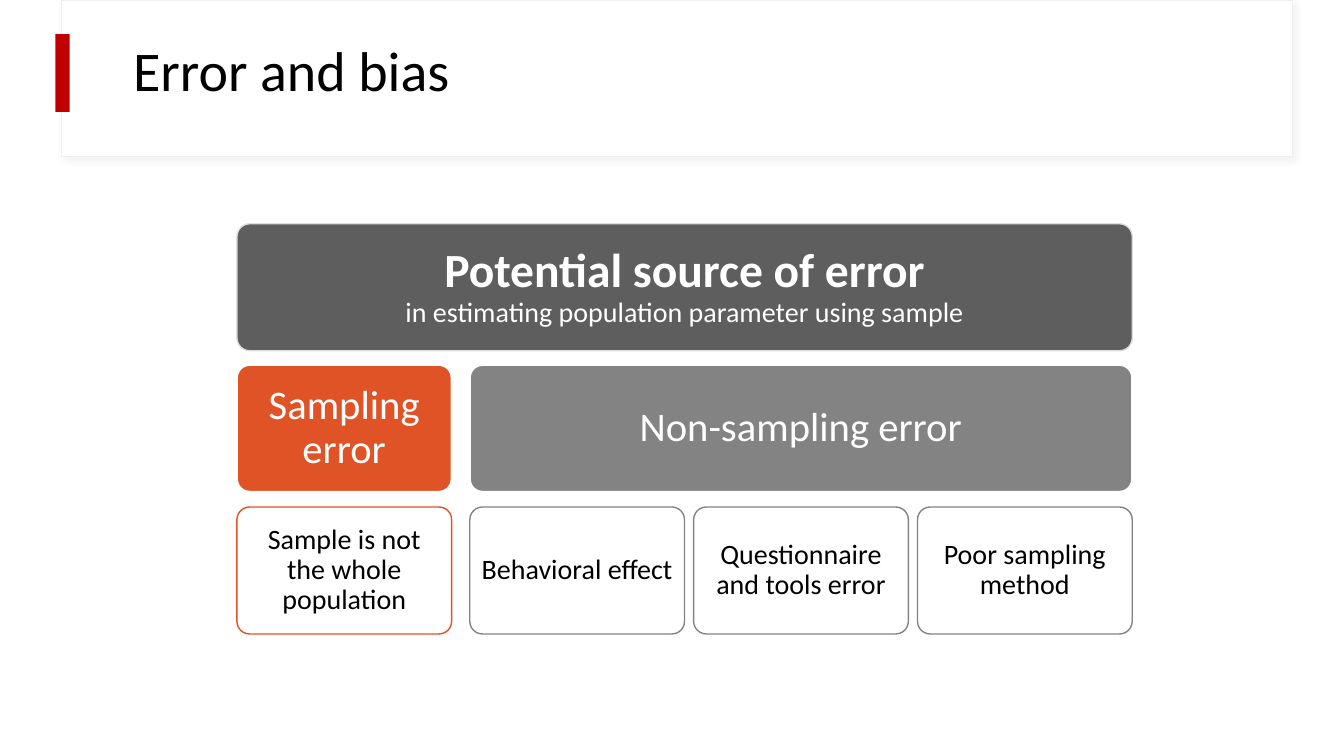
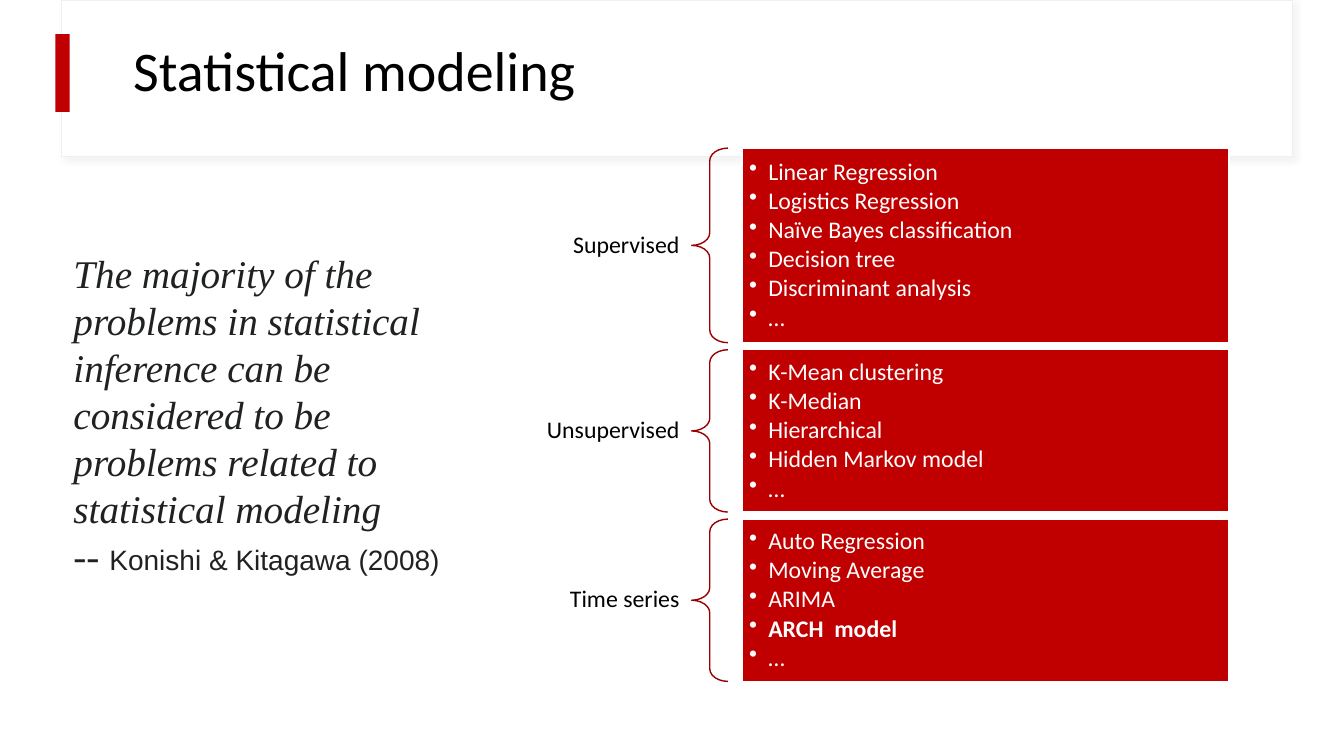
from dataclasses import dataclass

from lxml import etree
from pptx import Presentation
from pptx.dml.color import RGBColor
from pptx.enum.shapes import MSO_SHAPE
from pptx.enum.text import MSO_ANCHOR, MSO_AUTO_SIZE, PP_ALIGN
from pptx.oxml import parse_xml
from pptx.oxml.ns import nsdecls, qn
from pptx.presentation import Presentation as Deck
from pptx.shapes.autoshape import Shape
from pptx.slide import Slide, SlideLayout
from pptx.text.text import TextFrame, _Paragraph
from pptx.util import Inches, Pt

RECT = MSO_SHAPE.RECTANGLE
ROUNDED = MSO_SHAPE.ROUNDED_RECTANGLE
BRACE = MSO_SHAPE.LEFT_BRACE
MIDDLE = MSO_ANCHOR.MIDDLE
NO_FIT = MSO_AUTO_SIZE.NONE
LEFT, CENTER, RIGHT = PP_ALIGN.LEFT, PP_ALIGN.CENTER, PP_ALIGN.RIGHT

BLACK = RGBColor(0x00, 0x00, 0x00)
WHITE = RGBColor(0xFF, 0xFF, 0xFF)
RED = RGBColor(0xC0, 0x00, 0x00)
DARK_RED = RGBColor(0x9A, 0x00, 0x00)
ORANGE = RGBColor(0xDF, 0x53, 0x27)
DARK_GRAY = RGBColor(0x5E, 0x5E, 0x5E)
GRAY = RGBColor(0x83, 0x83, 0x83)
LIGHT_GRAY = RGBColor(0xDD, 0xDD, 0xDD)
BAND_LINE = RGBColor(0xEF, 0xEF, 0xEF)
QUOTE_INK = RGBColor(0x20, 0x21, 0x22)

BODY_FONT = "Calibri"
QUOTE_FONT = "Times New Roman"
SOURCE_FONT = "Arial"


@dataclass(frozen=True)
class Box:
    left: float
    top: float
    width: float
    height: float


@dataclass(frozen=True)
class Level:
    size: int
    inset: float
    top: float


@dataclass(frozen=True)
class Node:
    text: str
    level: Level
    column: int
    fill: RGBColor
    line: RGBColor
    line_width: float
    ink: RGBColor
    span: int = 1
    subtitle: str = ""


@dataclass(frozen=True)
class Family:
    name: str
    models: tuple[str, ...]
    highlight: str = ""


TITLE_BOX = Box(1.22, 0.08, 11.12, 1.29)
BAND_BOX = Box(0.61, 0, 12.21, 1.55)
MARK_BOX = Box(0.55, 0.34, 0.14, 0.77)

TREE_LEFT, NODE_WIDTH, NODE_HEIGHT, NODE_GAP = 2.35, 2.13, 1.26, 0.09
SOURCE = Level(34, 0.14, 2.22)
KIND = Level(29, 0.12, 3.62)
CAUSE = Level(20, 0.08, 5.03)

NODES = (
    Node("Potential source of error", SOURCE, 0, DARK_GRAY, LIGHT_GRAY, 1, WHITE, 4,
         "in estimating population parameter using sample"),
    Node("Sampling error", KIND, 0, ORANGE, WHITE, 1.5, WHITE),
    Node("Sample is not the whole population", CAUSE, 0, WHITE, ORANGE, 1, BLACK),
    Node("Non-sampling error", KIND, 1, GRAY, WHITE, 1.5, WHITE, 3),
    Node("Behavioral effect", CAUSE, 1, WHITE, GRAY, 1, BLACK),
    Node("Questionnaire and tools error", CAUSE, 2, WHITE, GRAY, 1, BLACK),
    Node("Poor sampling method", CAUSE, 3, WHITE, GRAY, 1, BLACK),
)

FAMILIES_TOP, FAMILY_GAP, MODEL_HEIGHT = 1.47, 0.07, 0.32
LABEL_HEIGHT = 0.37
FAMILIES = (
    Family("Supervised", ("Linear Regression", "Logistics Regression",
                          "Naïve Bayes classification", "Decision tree",
                          "Discriminant analysis", "…")),
    Family("Unsupervised", ("K-Mean clustering", "K-Median", "Hierarchical",
                            "Hidden Markov model", "…")),
    Family("Time series", ("Auto Regression", "Moving Average", "ARIMA",
                           "ARCH  model", "…"), "ARCH  model"),
)


def place(sp: Shape, box: Box) -> None:
    sp.left, sp.top = Inches(box.left), Inches(box.top)
    sp.width, sp.height = Inches(box.width), Inches(box.height)


def add_text(p: _Paragraph, text: str, *, size: float, color: RGBColor,
             font: str = BODY_FONT, bold: bool = False, italic: bool = False,
             align: PP_ALIGN = LEFT, spacing: float = 0.9) -> None:
    p.alignment = align
    p.line_spacing = spacing
    r = p.add_run()
    r.text = text
    r.font.name, r.font.size = font, Pt(size)
    r.font.bold, r.font.italic = bold, italic
    r.font.color.rgb = color


def set_frame(tf: TextFrame, inset_x: float = 0.1, inset_y: float = 0.05) -> None:
    tf.word_wrap = True
    tf.auto_size = NO_FIT
    tf.vertical_anchor = MIDDLE
    tf.margin_left = tf.margin_right = Inches(inset_x)
    tf.margin_top = tf.margin_bottom = Inches(inset_y)


def add_bullet(p: _Paragraph, indent: float) -> None:
    pPr = p._p.get_or_add_pPr()
    pPr.set("marL", str(Inches(indent)))
    pPr.set("indent", str(-Inches(indent)))
    etree.SubElement(pPr, qn("a:buChar")).set("char", "•")


def add_box(slide: Slide, kind: MSO_SHAPE, box: Box, *, fill: RGBColor | None = None,
            line: RGBColor | None = None, line_width: float = 1) -> Shape:
    sp = slide.shapes.add_shape(kind, Inches(box.left), Inches(box.top),
                                Inches(box.width), Inches(box.height))
    sp.shadow.inherit = False
    if fill is None:
        sp.fill.background()
    else:
        sp.fill.solid()
        sp.fill.fore_color.rgb = fill
    if line is None:
        sp.line.fill.background()
    else:
        sp.line.color.rgb = line
        sp.line.width = Pt(line_width)
    return sp


def add_soft_shadow(sp: Shape) -> None:
    effects = sp.element.spPr.find(qn("a:effectLst"))
    effects.append(parse_xml(
        f'<a:outerShdw {nsdecls("a")} blurRad="{Pt(4)}" dist="{Pt(3)}" '
        'dir="2700000" algn="tl" rotWithShape="0"><a:srgbClr val="D9D9D9">'
        '<a:alpha val="30000"/></a:srgbClr></a:outerShdw>'))


def style_layout(layout: SlideLayout, slide: Slide) -> None:
    place(layout.placeholders[0], TITLE_BOX)
    band = add_box(slide, RECT, BAND_BOX, fill=WHITE, line=BAND_LINE, line_width=0.75)
    add_soft_shadow(band)
    mark = add_box(slide, RECT, MARK_BOX, fill=RED)
    for i, sp in enumerate((band, mark)):
        sp.element.xpath(".//p:cNvPr")[0].set("id", str(101 + i))
        layout.shapes.element.insert(2 + i, sp.element)


def add_title_slide(prs: Deck, layout: SlideLayout, title: str) -> Slide:
    slide = prs.slides.add_slide(layout)
    tf = slide.shapes.title.text_frame
    set_frame(tf)
    add_text(tf.paragraphs[0], title, size=40, color=BLACK)
    return slide


def column_left(column: int) -> float:
    branch_gap = NODE_GAP if column else 0
    return TREE_LEFT + column * (NODE_WIDTH + NODE_GAP) + branch_gap


def add_node(slide: Slide, node: Node) -> None:
    left = column_left(node.column)
    right = column_left(node.column + node.span - 1) + NODE_WIDTH
    sp = add_box(slide, ROUNDED, Box(left, node.level.top, right - left, NODE_HEIGHT),
                 fill=node.fill, line=node.line, line_width=node.line_width)
    sp.adjustments[0] = 0.1
    tf = sp.text_frame
    set_frame(tf, node.level.inset, node.level.inset)
    p = tf.paragraphs[0]
    add_text(p, node.text, size=node.level.size, color=node.ink,
             bold=bool(node.subtitle), align=CENTER)
    if node.subtitle:
        p.add_line_break()
        add_text(p, node.subtitle, size=20, color=node.ink, align=CENTER)


def add_family(slide: Slide, family: Family, top: float, height: float) -> None:
    label_top = top + (height - LABEL_HEIGHT) / 2
    label = slide.shapes.add_textbox(Inches(5.09), Inches(label_top),
                                     Inches(1.78), Inches(LABEL_HEIGHT))
    set_frame(label.text_frame, 0.13)
    add_text(label.text_frame.paragraphs[0], family.name, size=17, color=BLACK,
             align=RIGHT)

    brace = add_box(slide, BRACE, Box(6.86, top, 0.36, height), line=DARK_RED)
    brace.adjustments[0], brace.adjustments[1] = 0.35, 0.5

    panel = add_box(slide, RECT, Box(7.36, top, 4.83, height), fill=RED, line=WHITE)
    tf = panel.text_frame
    set_frame(tf, 0.07, 0.07)
    for i, model in enumerate(family.models):
        p = tf.add_paragraph() if i else tf.paragraphs[0]
        add_bullet(p, 0.19)
        p.space_after = Pt(2.5)
        add_text(p, model, size=17, color=WHITE, bold=model == family.highlight)


def add_quote(slide: Slide) -> None:
    sp = slide.shapes.add_textbox(Inches(0.63), Inches(2.42), Inches(4.21), Inches(3.4))
    tf = sp.text_frame
    tf.word_wrap = True
    add_text(tf.paragraphs[0],
             "The majority of the problems in statistical inference can be considered "
             "to be problems related to statistical modeling",
             size=28, color=QUOTE_INK, font=QUOTE_FONT, italic=True, spacing=1.0)
    p = tf.add_paragraph()
    add_text(p, "-- ", size=28, color=QUOTE_INK, font=QUOTE_FONT, italic=True, spacing=1.0)
    add_text(p, "Konishi & Kitagawa (2008)", size=20, color=QUOTE_INK,
             font=SOURCE_FONT, spacing=1.0)


def main() -> None:
    prs = Presentation()
    prs.slide_width, prs.slide_height = Inches(13.33), Inches(7.5)
    layout = prs.slide_layouts[5]

    slide = add_title_slide(prs, layout, "Error and bias")
    style_layout(layout, slide)
    for node in NODES:
        add_node(slide, node)

    slide = add_title_slide(prs, layout, "Statistical modeling")
    top = FAMILIES_TOP
    for family in FAMILIES:
        height = MODEL_HEIGHT * len(family.models) + 0.01
        add_family(slide, family, top, height)
        top += height + FAMILY_GAP
    add_quote(slide)

    prs.save("out.pptx")


if __name__ == "__main__":
    main()
